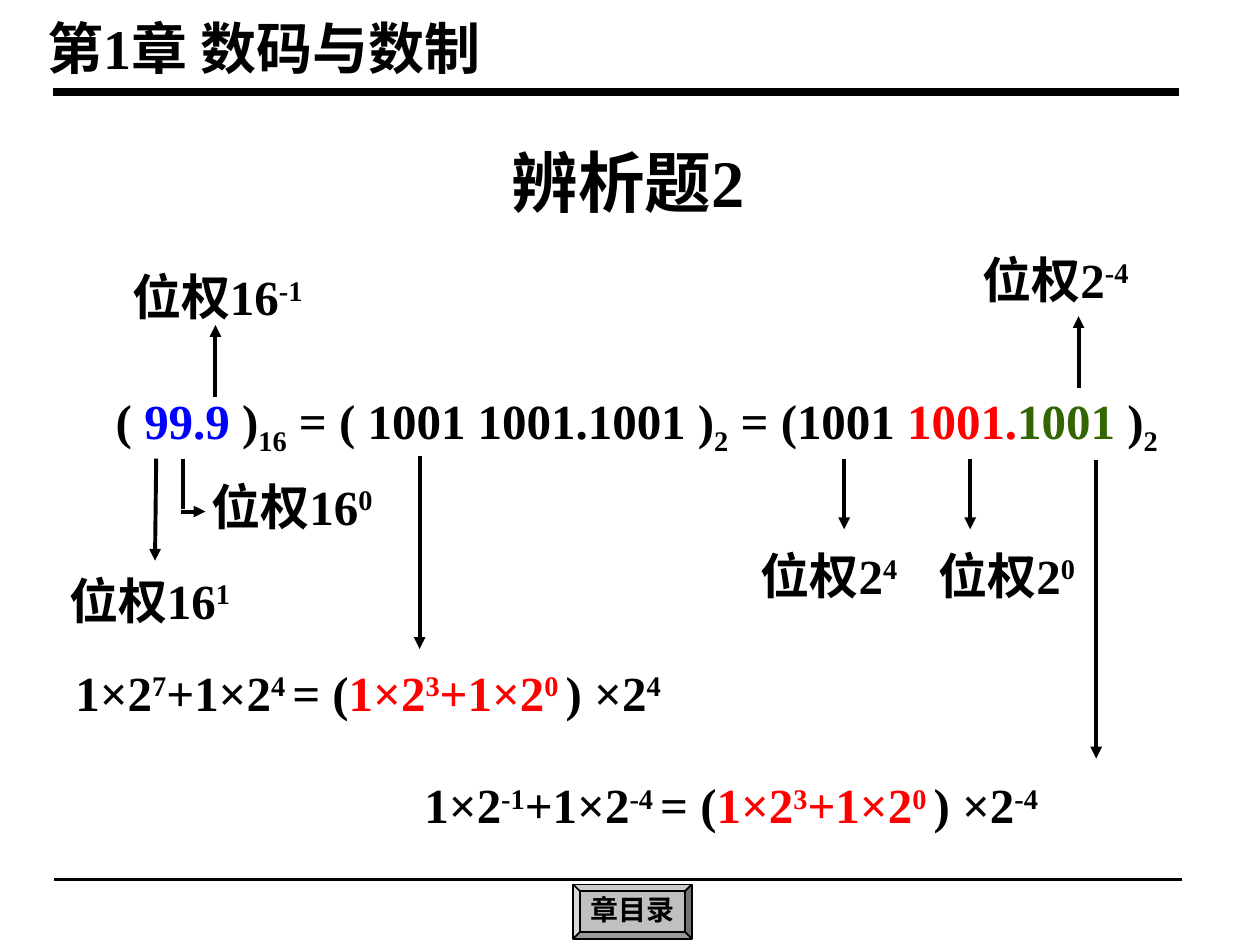
import pptx
import pptx.util
import pptx.dml.color
import pptx.enum.shapes
import pptx.enum.text
import pptx.oxml.ns
import lxml.etree

COLORS = {"ink": "000000", "blue": "0000FF", "red": "FF0000",
          "green": "336600", "button": "C0C0C0"}
FONT = "Times New Roman"
SUPER, SUB = 30, -25
ALIGN = pptx.enum.text.PP_ALIGN
ANCHOR = pptx.enum.text.MSO_ANCHOR

deck = pptx.Presentation()
deck.slide_width = pptx.util.Inches(10)
deck.slide_height = pptx.util.Inches(7.5)
slide = deck.slides.add_slide(deck.slide_layouts[5])

# Grid: 100 columns by 75 rows
col = deck.slide_width / 100
row = deck.slide_height / 75


def write(shape, pieces, size, align=ALIGN.LEFT, anchor=ANCHOR.TOP):
    """Fill a shape with (text, color, baseline percent) pieces."""
    frame = shape.text_frame
    frame.word_wrap = True
    frame.auto_size = pptx.enum.text.MSO_AUTO_SIZE.NONE
    frame.vertical_anchor = anchor
    line = frame.paragraphs[0]
    line.alignment = align
    for text, color, baseline in pieces:
        run = line.add_run()
        run.text = text
        run.font.name = FONT
        run.font.size = pptx.util.Pt(size)
        run.font.bold = True
        run.font.color.rgb = pptx.dml.color.RGBColor.from_string(COLORS[color])
        if baseline:
            run.font._element.set("baseline", str(baseline * 1000))


def draw_line(x1, y1, x2, y2, width=2.25, arrow=True):
    """Draw a straight line between two grid points."""
    line = slide.shapes.add_connector(
        pptx.enum.shapes.MSO_CONNECTOR.STRAIGHT,
        int(x1 * col), int(y1 * row), int(x2 * col), int(y2 * row))
    line.line.width = pptx.util.Pt(width)
    line.line.color.rgb = pptx.dml.color.RGBColor.from_string(COLORS["ink"])
    if arrow:
        lxml.etree.SubElement(line.line._get_or_add_ln(),
                              pptx.oxml.ns.qn("a:tailEnd"), type="triangle")
    lxml.etree.SubElement(line._element.spPr, pptx.oxml.ns.qn("a:effectLst"))


# Header and footer rules
draw_line(4.2, 7.3, 93.6, 7.3, width=4.5, arrow=False)
draw_line(4.3, 69.8, 93.8, 69.8, arrow=False)

# Contents button
button = slide.shapes.add_shape(
    pptx.enum.shapes.MSO_SHAPE.BEVEL,
    int(45.5 * col), int(70.2 * row), int(9.4 * col), int(4.3 * row))
button.shadow.inherit = False
button.fill.solid()
button.fill.fore_color.rgb = pptx.dml.color.RGBColor.from_string(COLORS["button"])
button.line.color.rgb = pptx.dml.color.RGBColor.from_string(COLORS["ink"])
button.line.width = pptx.util.Pt(1)
margin = int(0.4 * col)
button.text_frame.margin_left = button.text_frame.margin_right = margin
button.text_frame.margin_top = button.text_frame.margin_bottom = margin
write(button, [("章目录", "ink", 0)], 16, ALIGN.CENTER, ANCHOR.MIDDLE)
button.text_frame.paragraphs[0].line_spacing = 0.9

# Slide title
title = slide.shapes.title
title.left, title.top = int(37.5 * col), int(10.7 * row)
title.width, title.height = int(24.7 * col), int(5.7 * row)
write(title, [("辨析题2", "ink", 0)], 38, ALIGN.CENTER)

# Chapter heading, number equation and place-value labels
texts = [
    (2.8, 0.6, 46.3, 6.4, 32, [("第1章 数码与数制", "ink", 0)]),
    (8.2, 30.5, 86.8, 6.3, 28, [
        ("( ", "ink", 0), ("99.9 ", "blue", 0), (")", "ink", 0),
        ("16", "ink", SUB), (" = ( 1001 1001.1001 )", "ink", 0),
        ("2", "ink", SUB), (" = (1001 ", "ink", 0), ("1001.", "red", 0),
        ("1001 ", "green", 0), (")", "ink", 0), ("2", "ink", SUB)]),
]
for x, y, base, power in [
        (59.4, 42.8, "2", "4"), (73.5, 42.8, "2", "0"),
        (4.5, 44.8, "16", "1"), (15.8, 37.3, "16", "0"),
        (77, 19.3, "2", "-4"), (9.5, 20.7, "16", "-1")]:
    texts.append((x, y, 16.9, 5.7, 28,
                  [("位权" + base, "ink", 0), (power, "ink", SUPER)]))

# Expansions of the binary digits
for x, y, first, last in [(5, 52.1, "7", "4"), (32.7, 61, "-1", "-4")]:
    texts.append((x, y, 64.5, 5.7, 28, [
        ("1×2", "ink", 0), (first, "ink", SUPER),
        ("+1×2", "ink", 0), (last + " ", "ink", SUPER), ("= (", "ink", 0),
        ("1×2", "red", 0), ("3", "red", SUPER),
        ("+1×2", "red", 0), ("0 ", "red", SUPER),
        (") ×2", "ink", 0), (last, "ink", SUPER)]))

for x, y, width, height, size, pieces in texts:
    box = slide.shapes.add_textbox(
        int(x * col), int(y * row), int(width * col), int(height * row))
    write(box, pieces, size)

# Arrows from digits to their place values and expansions
for x1, y1, x2, y2 in [
        (67, 36.4, 67, 42), (77, 36.4, 77, 42), (12.4, 36.4, 12.3, 44.5),
        (85.6, 30.8, 85.6, 25.1), (17.1, 31.5, 17.1, 25.8),
        (33.3, 36.2, 33.3, 51.5), (87, 36.5, 87, 60.2)]:
    draw_line(x1, y1, x2, y2)

# Bent arrow to the 16⁰ label
draw_line(14.5, 36.4, 14.5, 40.4, arrow=False)
draw_line(14.4, 40.6, 16.3, 40.6)

deck.save("out.pptx")
